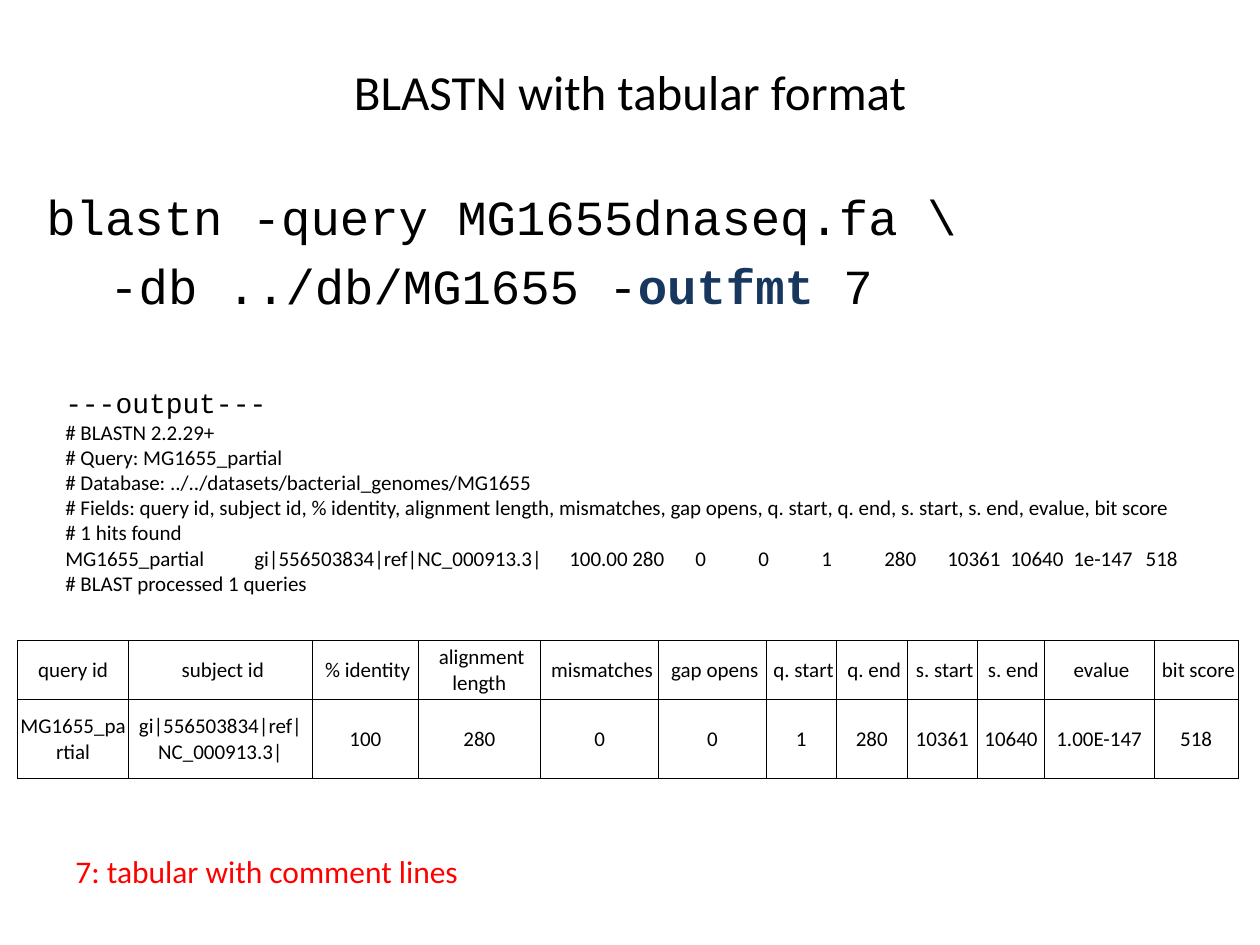
"""Build the slide on BLASTN tabular output."""
from dataclasses import dataclass

from lxml import etree
from pptx import Presentation
from pptx.dml.color import RGBColor
from pptx.enum.text import MSO_ANCHOR, MSO_AUTO_SIZE, PP_ALIGN
from pptx.oxml.ns import qn
from pptx.util import Inches, Pt

CENTER = PP_ALIGN.CENTER
MIDDLE = MSO_ANCHOR.MIDDLE
GROW = MSO_AUTO_SIZE.SHAPE_TO_FIT_TEXT
FIXED = MSO_AUTO_SIZE.NONE
COLORS = {"black": "000000", "navy": "17375E", "red": "FF0000"}
SANS, MONO = "Calibri", "Courier New"


@dataclass(frozen=True)
class Line:
    text: str
    size: float
    font: str = SANS
    color: str = "black"
    space_before: float = 0
    bold_word: str = ""


@dataclass(frozen=True)
class TextBlock:
    left: float
    top: float
    width: float
    height: float
    lines: tuple[Line, ...]
    wrap: bool = True
    grow: bool = True


@dataclass(frozen=True)
class Column:
    width: float
    header: str
    value: str


OUTPUT = TextBlock(0.42, 3.01, 9.17, 1.78, (
    Line("---output---", 16, MONO),
    *(Line(text, 12) for text in (
        "# BLASTN 2.2.29+",
        "# Query: MG1655_partial",
        "# Database: ../../datasets/bacterial_genomes/MG1655",
        "# Fields: query id, subject id, % identity, alignment length, mismatches, "
        "gap opens, q. start, q. end, s. start, s. end, evalue, bit score",
        "# 1 hits found",
        "MG1655_partial\tgi|556503834|ref|NC_000913.3|\t100.00\t280\t0\t0\t1\t280"
        "\t10361\t10640\t1e-147\t  518",
        "# BLAST processed 1 queries",
    )),
))
COMMAND = TextBlock(0.27, 1.43, 9.45, 1.29, (
    Line("blastn -query MG1655dnaseq.fa \\", 28, MONO, space_before=6),
    Line("\t-db ../db/MG1655 -outfmt 7", 28, MONO, space_before=6, bold_word="outfmt"),
), grow=False)
FORMAT_NOTE = TextBlock(0.5, 6.71, 3.28, 0.4, (
    Line("7: tabular with comment lines", 18, color="red"),
), wrap=False)
COLUMNS = (
    Column(0.88, "query id", "MG1655_partial"),
    Column(1.46, " subject id", "gi|556503834|ref|NC_000913.3|"),
    Column(0.84, " % identity", "100"),
    Column(0.97, " alignment length", "280"),
    Column(0.94, " mismatches", "0"),
    Column(0.85, " gap opens", "0"),
    Column(0.56, " q. start", "1"),
    Column(0.56, " q. end", "280"),
    Column(0.56, " s. start", "10361"),
    Column(0.53, " s. end", "10640"),
    Column(0.87, " evalue", "1.00E-147"),
    Column(0.67, " bit score", "518"),
)
ROW_HEIGHTS = (0.47, 0.63)


def write_line(paragraph, line: Line) -> None:
    """Write one line, with its bold word in navy."""
    font = paragraph.font
    font.name, font.size = line.font, Pt(line.size)
    font.color.rgb = RGBColor.from_string(COLORS[line.color])
    paragraph.space_before = Pt(line.space_before)
    if not line.bold_word:
        paragraph.add_run().text = line.text
        return
    before, word, after = line.text.partition(line.bold_word)
    for text in (before, word, after):
        run = paragraph.add_run()
        run.text = text
        if text == word:
            run.font.bold = True
            run.font.color.rgb = RGBColor.from_string(COLORS["navy"])


def add_text(slide, block: TextBlock) -> None:
    """Add a text box with one paragraph for each line."""
    box = slide.shapes.add_textbox(
        Inches(block.left), Inches(block.top), Inches(block.width), Inches(block.height))
    frame = box.text_frame
    frame.word_wrap = block.wrap
    frame.auto_size = GROW if block.grow else FIXED
    for index, line in enumerate(block.lines):
        paragraph = frame.add_paragraph() if index else frame.paragraphs[0]
        write_line(paragraph, line)


def add_borders(cell) -> None:
    """Draw a thin black line on every side of a cell."""
    properties = cell._tc.get_or_add_tcPr()
    for index, side in enumerate(("a:lnL", "a:lnR", "a:lnT", "a:lnB")):
        border = etree.Element(qn(side), w=str(Pt(0.5)))
        fill = etree.SubElement(border, qn("a:solidFill"))
        etree.SubElement(fill, qn("a:srgbClr"), val=COLORS["black"])
        properties.insert(index, border)


def add_hit_table(slide) -> None:
    """Add the table of fields and their values."""
    width = sum(column.width for column in COLUMNS)
    table = slide.shapes.add_table(
        len(ROW_HEIGHTS), len(COLUMNS), Inches(0.14), Inches(5.08),
        Inches(width), Inches(sum(ROW_HEIGHTS))).table
    table.first_row = table.horz_banding = False
    for row, height in zip(table.rows, ROW_HEIGHTS):
        row.height = Inches(height)
    for column_index, column in enumerate(COLUMNS):
        table.columns[column_index].width = Inches(column.width)
        for row_index, text in enumerate((column.header, column.value)):
            cell = table.cell(row_index, column_index)
            cell.fill.background()
            cell.vertical_anchor = MIDDLE
            cell.margin_left = cell.margin_right = cell.margin_top = Inches(0.01)
            cell.margin_bottom = 0
            paragraph = cell.text_frame.paragraphs[0]
            paragraph.alignment = CENTER
            write_line(paragraph, Line(text, 12))
            add_borders(cell)


def add_title(slide) -> None:
    """Place and format the title."""
    title = slide.shapes.title
    title.left, title.top = Inches(0.5), Inches(0.3)
    title.width, title.height = Inches(9), Inches(0.85)
    title.text_frame.vertical_anchor = MIDDLE
    paragraph = title.text_frame.paragraphs[0]
    paragraph.alignment = CENTER
    write_line(paragraph, Line("BLASTN with tabular format", 28))


def main() -> None:
    """Build and save the presentation."""
    presentation = Presentation()
    presentation.slide_width, presentation.slide_height = Inches(10), Inches(7.5)
    slide = presentation.slides.add_slide(presentation.slide_layouts[5])
    add_title(slide)
    add_text(slide, OUTPUT)
    add_hit_table(slide)
    add_text(slide, COMMAND)
    add_text(slide, FORMAT_NOTE)
    presentation.save("out.pptx")


main()
